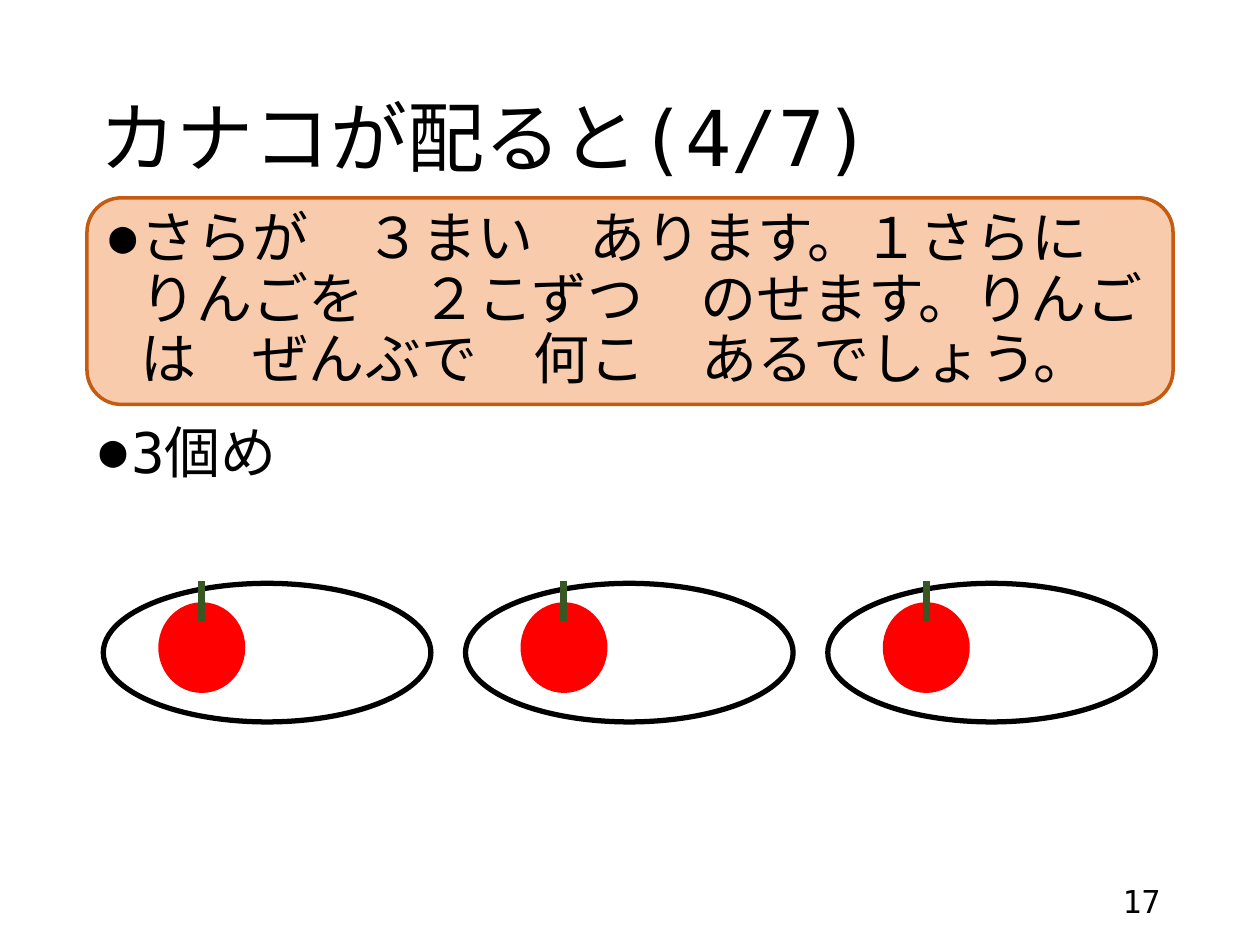
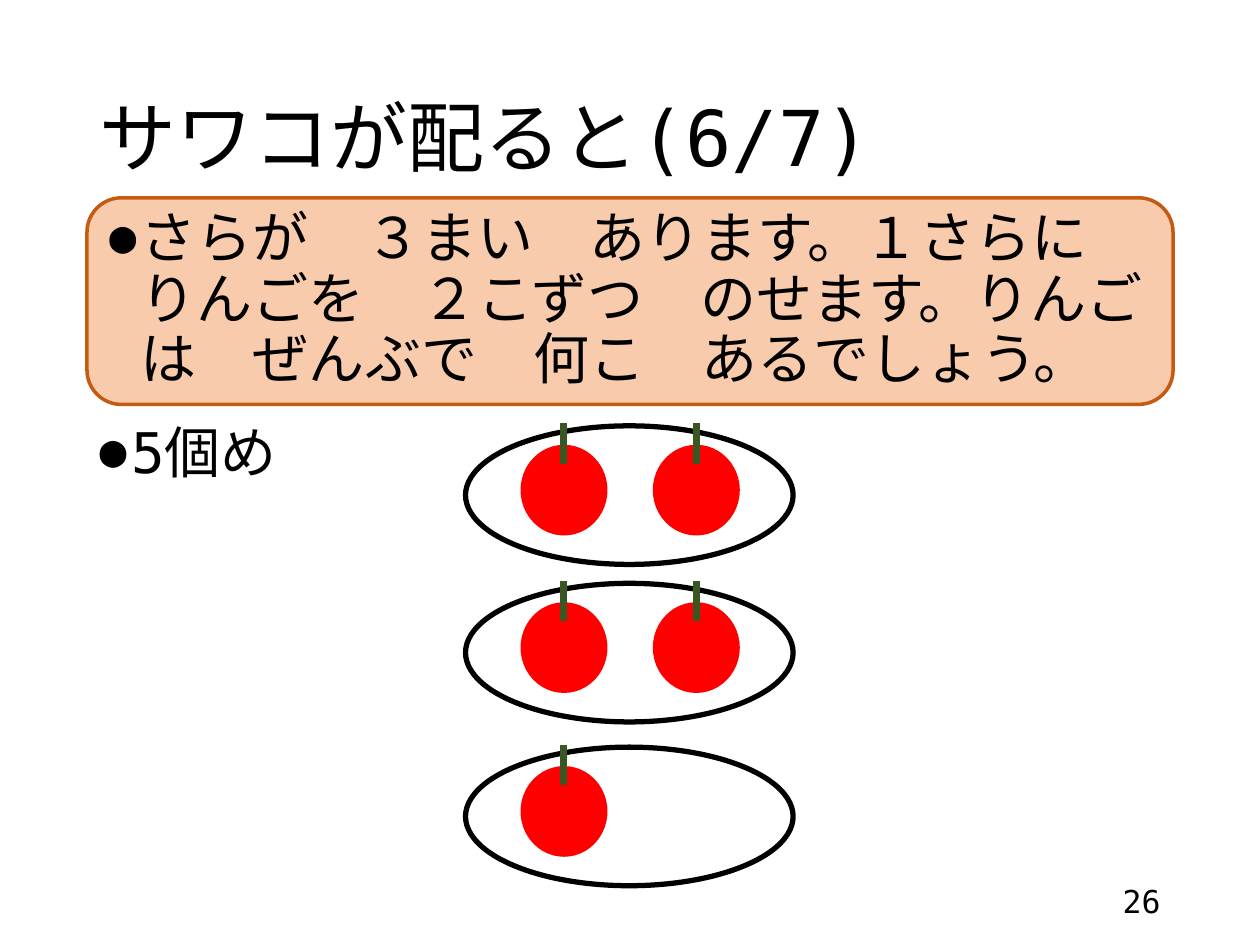
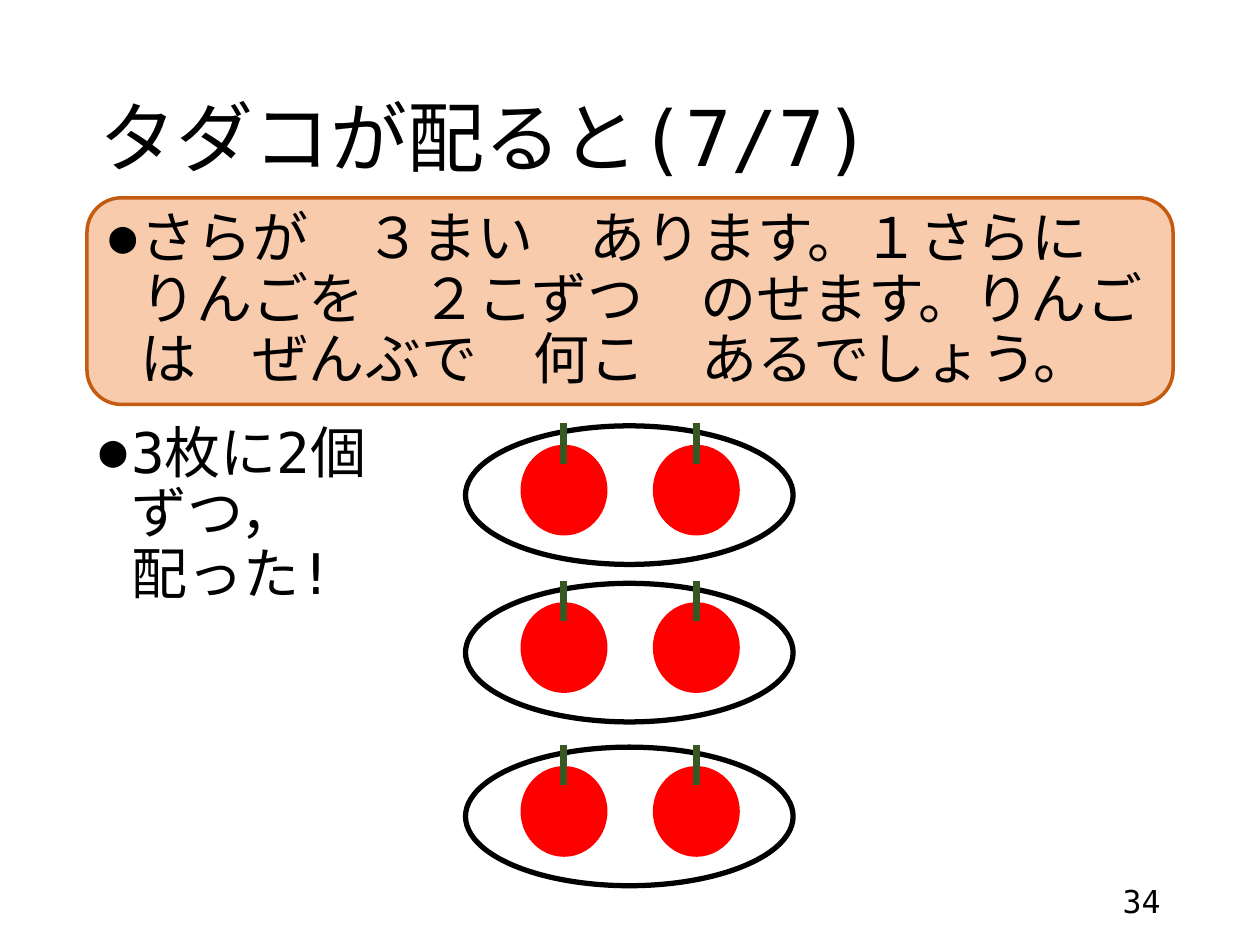
"""Builds three slides that deal apples onto plates."""
import pptx
import pptx.util
import pptx.dml.color
import pptx.enum.shapes
import pptx.enum.text
import pptx.oxml.ns
import lxml.etree

Pt = pptx.util.Pt
SHAPES = pptx.enum.shapes.MSO_SHAPE
ALIGN = pptx.enum.text.PP_ALIGN
ANCHOR = pptx.enum.text.MSO_ANCHOR

PROBLEM = ("さらが　３まい　あります。１さらに　りんごを　２こずつ　のせます。"
           "りんごは　ぜんぶで　何こ　あるでしょう。")
COLUMNS = [(59.04 + 207 * column, 333.36) for column in range(3)]
ROWS = [(266.04, top) for top in (243.36, 333.36, 426.96)]
SLIDES = [
    {"title": "カナコが配ると(4/7)", "step": "3個め", "number": "17",
     "plates": COLUMNS, "apples": [1, 1, 1]},
    {"title": "サワコが配ると(6/7)", "step": "5個め", "number": "26",
     "plates": ROWS, "apples": [2, 2, 1]},
    {"title": "タダコが配ると(7/7)", "step": "3枚に2個\vずつ，\v配った!", "number": "34",
     "plates": ROWS, "apples": [2, 2, 2]},
]

FONT = "DejaVu Sans Mono"
BLACK, WHITE, RED, STEM_GREEN = "000000", "FFFFFF", "FF0000", "385723"
PEACH, RUST = "F8CBAD", "C55A11"

TITLE_BOX = (49.68, 28.8, 620.64, 104.4)
PROBLEM_BOX = (49.68, 113.04, 620.64, 118.08)
STEP_BOX = (49.68, 239.04, 620.64, 246.96)
NUMBER_BOX = (508.32, 500.4, 162, 28.8)
PLATE_SIZE = (187.2, 79.2)
APPLE_SIZE = (49.68, 51.84)
APPLE_OFFSET = (31.4, 10.8)
APPLE_GAP = 75.6
STEM_TOP, STEM_BOTTOM = -12.24, 10.8


def color(hex_value):
    return pptx.dml.color.RGBColor.from_string(hex_value)


def points(values):
    return [Pt(value) for value in values]


def place(shape, box):
    shape.left, shape.top, shape.width, shape.height = points(box)


def write(shape, text, size, anchor, align=ALIGN.LEFT, spacing=None):
    frame = shape.text_frame
    frame.text = text
    frame.word_wrap = True
    frame.auto_size = pptx.enum.text.MSO_AUTO_SIZE.NONE
    frame.vertical_anchor = anchor
    paragraph = frame.paragraphs[0]
    paragraph.alignment = align
    paragraph.line_spacing = spacing
    for run in paragraph.runs:
        run.font.name = FONT
        run.font.size = Pt(size)
        run.font.color.rgb = color(BLACK)
    return paragraph


def write_bullet(shape, text, anchor):
    paragraph = write(shape, text, 32, anchor, spacing=0.9)
    paragraph.space_before = Pt(10)
    properties = paragraph._p.get_or_add_pPr()
    properties.set("marL", str(Pt(18)))
    properties.set("indent", str(Pt(-18)))
    for tag, key, value in (("a:buSzPct", "val", "80000"),
                            ("a:buFont", "typeface", FONT),
                            ("a:buChar", "char", "●")):
        lxml.etree.SubElement(properties, pptx.oxml.ns.qn(tag)).set(key, value)


def draw(shapes, kind, box, fill, line=None, weight=0):
    shape = shapes.add_shape(kind, *points(box))
    shape.shadow.inherit = False
    shape.fill.solid()
    shape.fill.fore_color.rgb = color(fill)
    if line:
        shape.line.color.rgb = color(line)
        shape.line.width = Pt(weight)
    else:
        shape.line.fill.background()
    return shape


def draw_apple(slide, left, top):
    apple = slide.shapes.add_group_shape().shapes
    draw(apple, SHAPES.OVAL, (left, top, *APPLE_SIZE), RED)
    middle = left + APPLE_SIZE[0] / 2
    stem = apple.add_connector(
        pptx.enum.shapes.MSO_CONNECTOR.STRAIGHT,
        *points((middle, top + STEM_TOP, middle, top + STEM_BOTTOM)))
    stem.line.color.rgb = color(STEM_GREEN)
    stem.line.width = Pt(4)
    lxml.etree.SubElement(stem._element.spPr, pptx.oxml.ns.qn("a:effectLst"))


def draw_plate(slide, left, top, apple_count):
    draw(slide.shapes, SHAPES.OVAL, (left, top, *PLATE_SIZE), WHITE, BLACK, 3)
    for index in range(apple_count):
        draw_apple(slide, left + APPLE_OFFSET[0] + index * APPLE_GAP,
                   top + APPLE_OFFSET[1])


def build_slide(deck, content):
    slide = deck.slides.add_slide(deck.slide_layouts[1])
    title, step = slide.placeholders
    place(title, TITLE_BOX)
    write(title, content["title"], 44, ANCHOR.MIDDLE, spacing=0.9)
    place(step, STEP_BOX)
    write_bullet(step, content["step"], ANCHOR.TOP)
    number = slide.shapes.add_textbox(*points(NUMBER_BOX))
    write(number, content["number"], 18, ANCHOR.MIDDLE, ALIGN.RIGHT)
    problem = draw(slide.shapes, SHAPES.ROUNDED_RECTANGLE, PROBLEM_BOX, PEACH, RUST, 2)
    write_bullet(problem, PROBLEM, ANCHOR.MIDDLE)
    for (left, top), apple_count in zip(content["plates"], content["apples"]):
        draw_plate(slide, left, top, apple_count)


deck = pptx.Presentation()
deck.slide_width, deck.slide_height = Pt(720), Pt(540)
for content in SLIDES:
    build_slide(deck, content)
deck.save("out.pptx")
